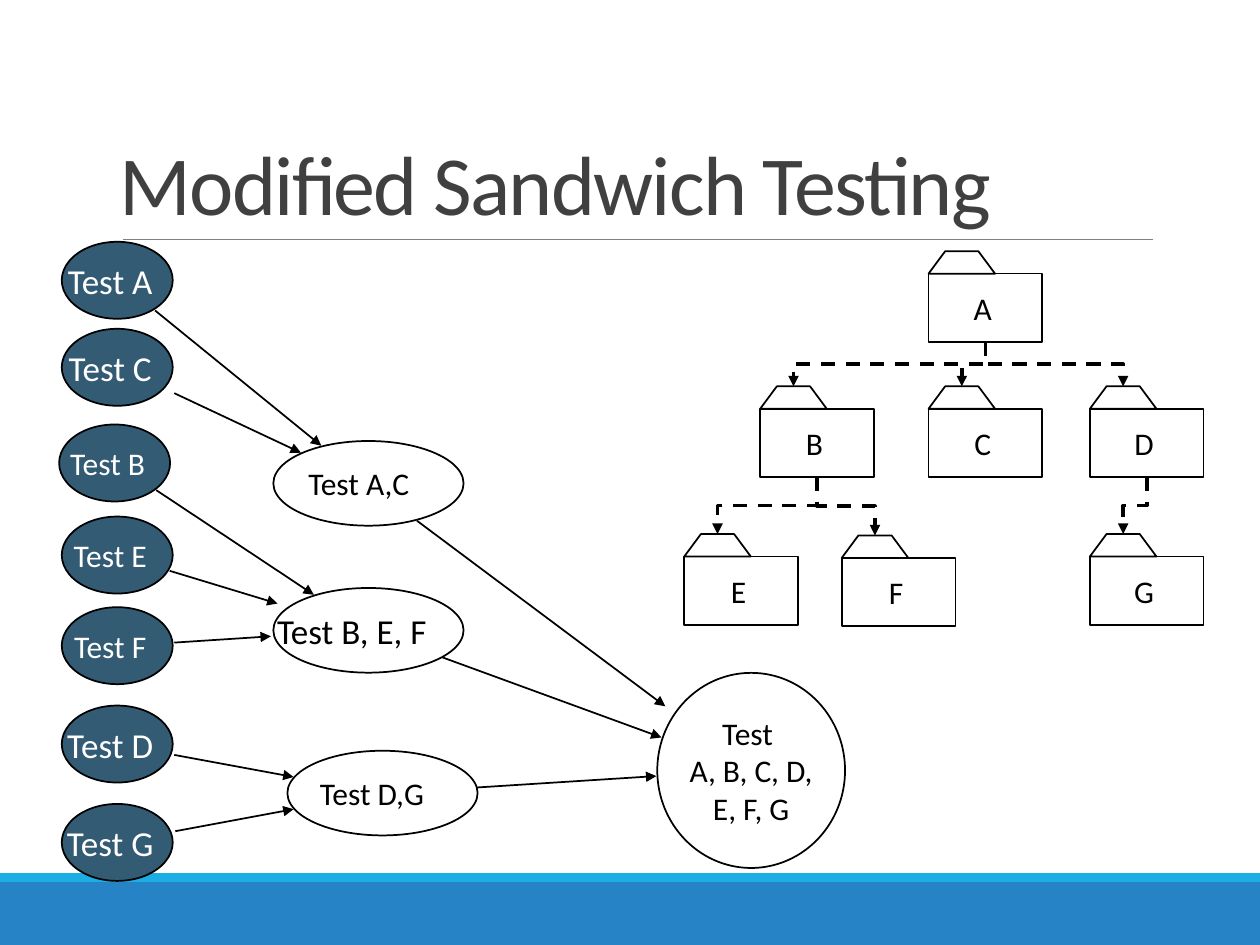
"""Build the Modified Sandwich Testing slide."""
from typing import NamedTuple

from lxml.etree import SubElement
from pptx import Presentation
from pptx.dml.color import RGBColor
from pptx.enum.dml import MSO_LINE
from pptx.enum.shapes import MSO_CONNECTOR, MSO_SHAPE
from pptx.enum.text import MSO_ANCHOR, MSO_AUTO_SIZE, PP_ALIGN
from pptx.oxml.ns import qn
from pptx.util import Pt

COLORS = {
    "band": "2683C6", "stripe": "1CADE4", "rule": "808080", "title": "404040",
    "unit": "335B74", "black": "000000", "white": "FFFFFF",
}
FONT = "Calibri"
INSET = 3.6
UNIT_WIDTH, UNIT_HEIGHT = 63.4, 44
MERGE_WIDTH, MERGE_HEIGHT = 108.7, 48.4
FOLDER_WIDTH, FOLDER_HEIGHT = 65, 39
TAB_WIDTH, TAB_HEIGHT, TAB_SLOPE = 38, 12.8, 9.5


class Test(NamedTuple):
    text: str
    left: float
    top: float
    width: float
    height: float
    size: float
    shift: float
    fill: str = ""
    color: str = "black"


class Folder(NamedTuple):
    name: str
    left: float
    top: float


class Arrow(NamedTuple):
    x1: float
    y1: float
    x2: float
    y2: float


def unit(name: str, top: float, size: float, left: float = 35.3) -> Test:
    return Test(f"Test {name}", left, top, UNIT_WIDTH, UNIT_HEIGHT, size, -4, "unit", "white")


def merge(names: str, left: float, top: float, size: float, shift: float) -> Test:
    return Test(f"Test {names}", left, top, MERGE_WIDTH, MERGE_HEIGHT, size, shift)


TESTS = [
    unit("A", 138.2, 20), unit("C", 187.9, 20), unit("B", 242.6, 18, 33.8),
    unit("E", 295.2, 18), unit("F", 347, 18), unit("D", 403.2, 20), unit("G", 459.4, 20),
    merge("A,C", 156.2, 252, 18, -5.5), merge("B, E, F", 156.2, 336, 20, -9.5),
    merge("D,G", 164.2, 429, 18, -6),
    Test("Test \nA, B, C, D,\nE, F, G", 375.6, 384.5, 107.3, 111.5, 18, 0),
]
ARROWS = [
    Arrow(88.6, 177.4, 183.6, 254.7), Arrow(99.6, 224.7, 172, 258.7),
    Arrow(99.6, 431.4, 167.8, 444), Arrow(100.2, 475, 167.8, 462.4),
    Arrow(97, 326.2, 158.6, 344.9), Arrow(89.3, 280.1, 179.4, 339.9),
    Arrow(99.6, 367.2, 154.8, 363.6), Arrow(238.3, 297.6, 380.2, 403.6),
    Arrow(252.7, 375.6, 378, 421.4), Arrow(272.4, 450, 375.1, 443.5),
]
FOLDERS = {
    folder.name: folder for folder in [
        Folder("A", 530.6, 143.6), Folder("E", 391, 305.2), Folder("F", 481, 306),
        Folder("B", 434.4, 220.8), Folder("C", 530.6, 220.8), Folder("D", 622.8, 220.8),
        Folder("G", 622.8, 305.2),
    ]
}
CALLS = ["AB", "BE", "BF", "DG", "AD", "AC"]


def rgb(name: str) -> RGBColor:
    return RGBColor.from_string(COLORS[name])


def style(shape, fill: str = "", line: str = "black") -> None:
    shape.shadow.inherit = False
    if fill:
        shape.fill.solid()
        shape.fill.fore_color.rgb = rgb(fill)
    else:
        shape.fill.background()
    if line:
        shape.line.color.rgb = rgb(line)
        shape.line.width = Pt(1)
    else:
        shape.line.fill.background()


def set_insets(frame) -> None:
    frame.margin_left = frame.margin_right = Pt(INSET)
    frame.margin_top = frame.margin_bottom = Pt(INSET)


def add_block(slide, kind, left: float, top: float, width: float, height: float,
              fill: str = "", line: str = "black") -> None:
    shape = slide.shapes.add_shape(kind, Pt(left), Pt(top), Pt(width), Pt(height))
    style(shape, fill, line)


def add_label(slide, text: str, center_x: float, center_y: float, width: float,
              size: float, color: str) -> None:
    height = size * 1.22 * len(text.split("\n")) + 2 * INSET
    box = slide.shapes.add_textbox(Pt(center_x - width / 2), Pt(center_y - height / 2),
                                   Pt(width), Pt(height))
    frame = box.text_frame
    frame.word_wrap = True
    frame.vertical_anchor = MSO_ANCHOR.MIDDLE
    set_insets(frame)
    frame.text = text
    for paragraph in frame.paragraphs:
        paragraph.alignment = PP_ALIGN.CENTER
        paragraph.font.size = Pt(size)
        paragraph.font.name = FONT
        paragraph.font.color.rgb = rgb(color)


def add_test(slide, test: Test) -> None:
    add_block(slide, MSO_SHAPE.OVAL, test.left, test.top, test.width, test.height, test.fill)
    add_label(slide, test.text, test.left + test.width / 2 + test.shift,
              test.top + test.height / 2, test.width + 4, test.size, test.color)


def add_line(slide, kind, ends: Arrow, width: float = 1, color: str = "black",
             head: bool = True):
    connector = slide.shapes.add_connector(kind, *(Pt(value) for value in ends))
    connector.line.color.rgb = rgb(color)
    connector.line.width = Pt(width)
    if head:
        SubElement(connector.line._get_or_add_ln(), qn("a:tailEnd"), type="triangle")
    SubElement(connector._element.spPr, qn("a:effectLst"))
    return connector


def add_call(slide, caller: Folder, callee: Folder) -> None:
    x1, y1 = caller.left + FOLDER_WIDTH / 2, caller.top + TAB_HEIGHT + FOLDER_HEIGHT
    x2, y2 = callee.left + TAB_WIDTH / 2, callee.top
    middle_x, middle_y = (x1 + x2) / 2, (y1 + y2) / 2
    half_x, half_y = (x1 - x2) / 2, (y2 - y1) / 2
    turned = Arrow(middle_x - half_y, middle_y - half_x, middle_x + half_y, middle_y + half_x)
    connector = add_line(slide, MSO_CONNECTOR.ELBOW, turned, 2)
    connector.line.dash_style = MSO_LINE.DASH
    connector._element.spPr.find(qn("a:xfrm")).set("rot", "5400000")


def add_folder(slide, folder: Folder) -> None:
    left, body_top = folder.left, folder.top + TAB_HEIGHT
    add_block(slide, MSO_SHAPE.RECTANGLE, left, body_top, FOLDER_WIDTH, FOLDER_HEIGHT, "white")
    add_label(slide, folder.name, left + FOLDER_WIDTH / 2 - 1.5,
              body_top + FOLDER_HEIGHT / 2, 21, 18, "black")
    builder = slide.shapes.build_freeform(Pt(left), Pt(body_top))
    builder.add_line_segments([
        (Pt(left + TAB_SLOPE), Pt(folder.top)),
        (Pt(left + TAB_WIDTH - TAB_SLOPE), Pt(folder.top)),
        (Pt(left + TAB_WIDTH), Pt(body_top)),
    ])
    style(builder.convert_to_shape(), "white")


def set_title(slide, text: str) -> None:
    title = slide.shapes.title
    title.left, title.top, title.width, title.height = Pt(64.8), Pt(22.3), Pt(594), Pt(114.5)
    frame = title.text_frame
    frame.text = text
    frame.word_wrap = True
    frame.auto_size = MSO_AUTO_SIZE.NONE
    frame.vertical_anchor = MSO_ANCHOR.BOTTOM
    set_insets(frame)
    paragraph = frame.paragraphs[0]
    paragraph.alignment = PP_ALIGN.LEFT
    paragraph.line_spacing = 0.85
    paragraph.font.size = Pt(48)
    paragraph.font.name = FONT
    paragraph.font.color.rgb = rgb("title")
    paragraph.runs[0].font._element.set("spc", "-100")


def main() -> None:
    presentation = Presentation()
    presentation.slide_width, presentation.slide_height = Pt(720), Pt(540)
    slide = presentation.slides.add_slide(presentation.slide_layouts[5])
    add_block(slide, MSO_SHAPE.RECTANGLE, 0, 504, 720, 36, "band", "")
    add_block(slide, MSO_SHAPE.RECTANGLE, 0, 499, 720, 5, "stripe", "")
    add_line(slide, MSO_CONNECTOR.STRAIGHT, Arrow(70.5, 136.8, 659, 136.8), 0.5, "rule", False)
    set_title(slide, "Modified Sandwich Testing")
    for test in TESTS:
        add_test(slide, test)
    for arrow in ARROWS:
        add_line(slide, MSO_CONNECTOR.STRAIGHT, arrow)
    for caller, callee in CALLS:
        add_call(slide, FOLDERS[caller], FOLDERS[callee])
    for folder in FOLDERS.values():
        add_folder(slide, folder)
    presentation.save("out.pptx")


if __name__ == "__main__":
    main()
